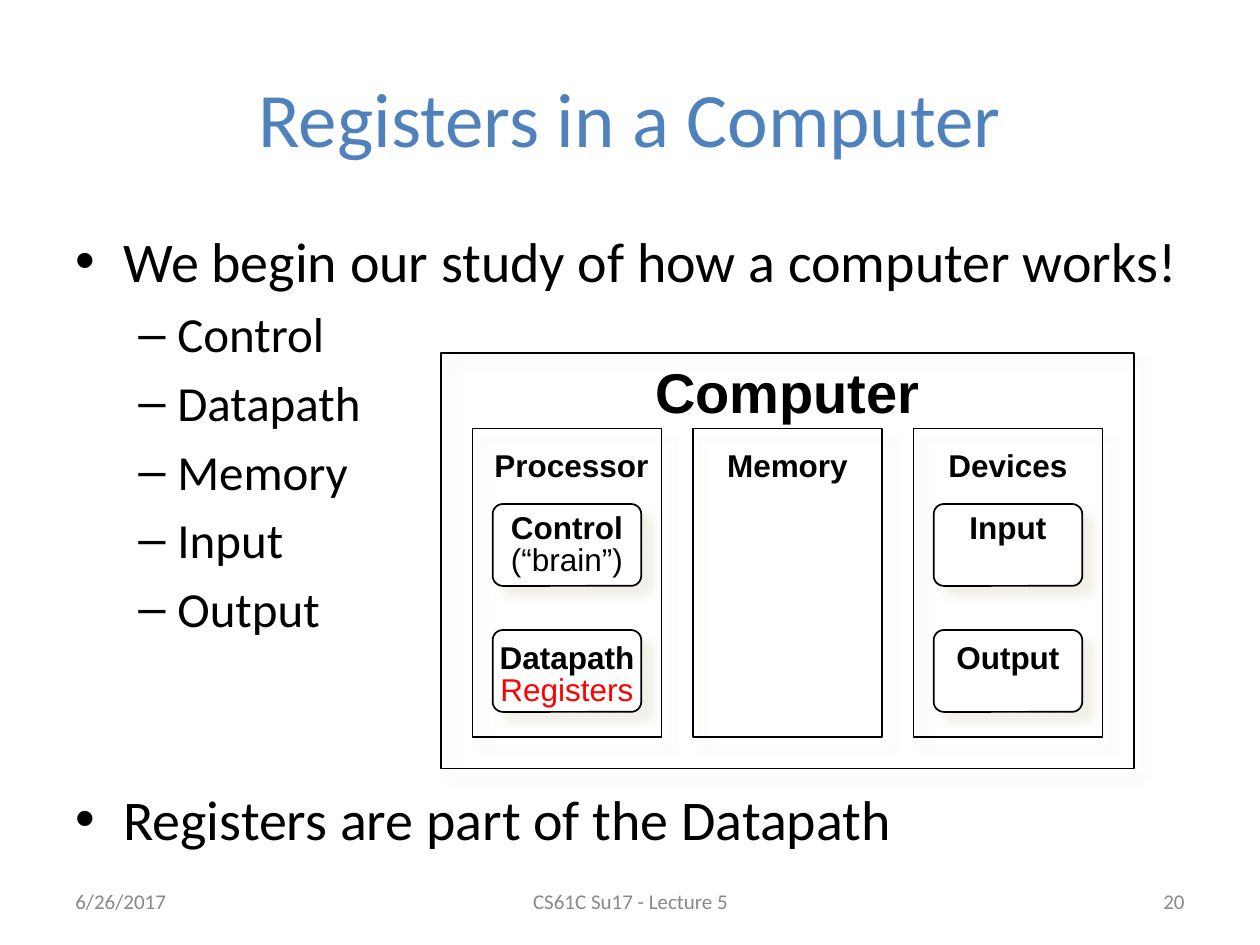
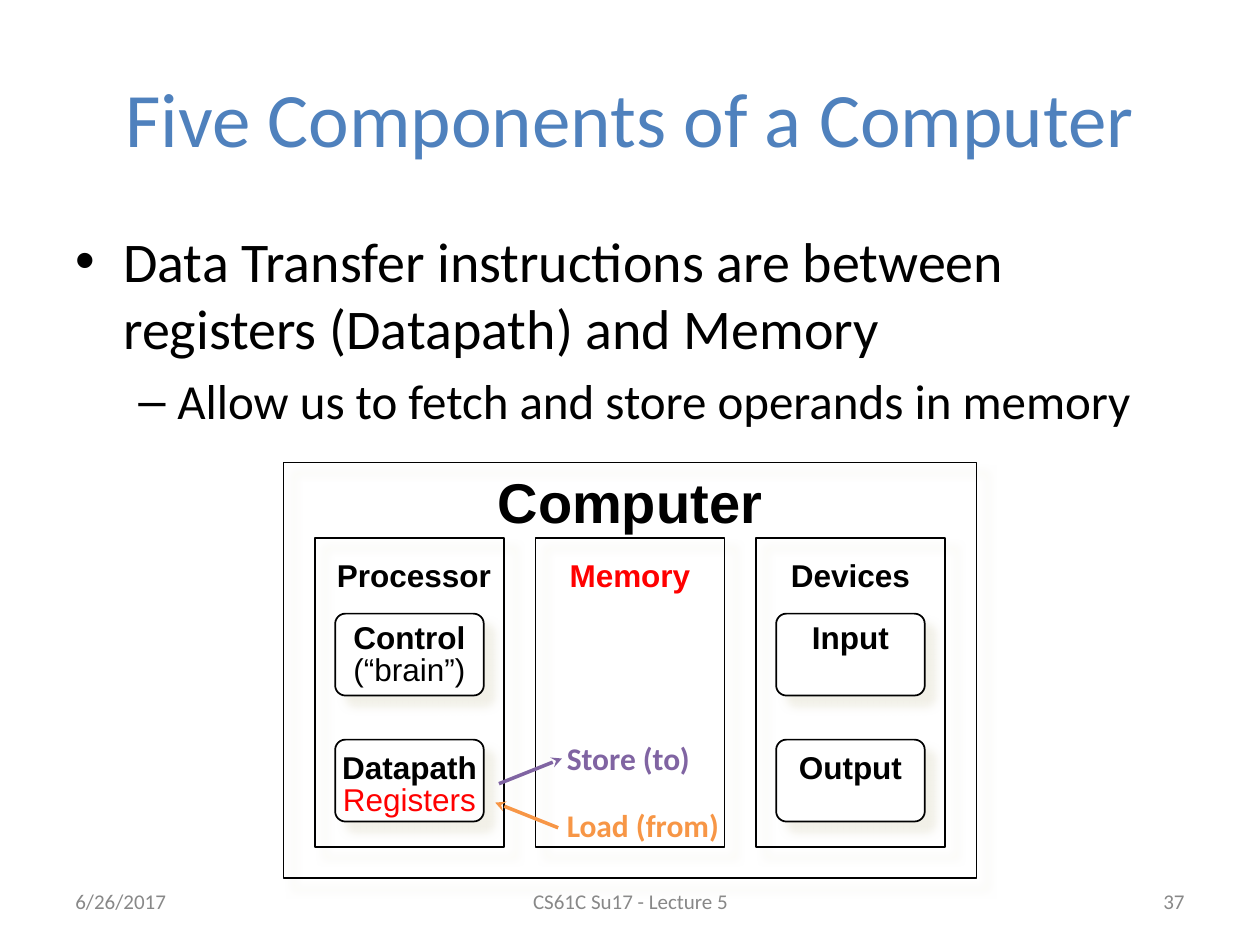
import pptx
import pptx.util
import pptx.dml.color
import pptx.enum.shapes
import pptx.enum.text
import pptx.oxml.ns
import lxml.etree

Pt = pptx.util.Pt
KIND = pptx.enum.shapes.MSO_SHAPE
SIDE = pptx.enum.text.PP_ALIGN
MID = pptx.enum.text.MSO_ANCHOR.MIDDLE

# Shared colours
BLUE, BLACK, GREY, RED = "4F81BD", "000000", "888888", "FF0000"
WHITE, SAND, PLUM, AMBER = "FFFFFF", "EEECE1", "8064A2", "F79646"

# Body levels: bullet, size, left margin, hanging indent, space before
LEVELS = [("•", 32, 0.38, 0.38, 6.4), ("–", 28, 0.81, 0.31, 5.6)]


def tint(code):
    return pptx.dml.color.RGBColor.from_string(code)


def add(node, tag, **attrs):
    """Append a drawing element to an XML node."""
    return lxml.etree.SubElement(node, pptx.oxml.ns.qn(tag), attrs)


class Deck:
    """Style and current slide; lengths are cells of a 40 by 30 grid."""

    def __init__(self):
        self.prs = pptx.Presentation()
        self.prs.slide_width = pptx.util.Inches(10)
        self.prs.slide_height = pptx.util.Inches(7.5)
        self.cell = self.prs.slide_width / 40
        self.slide = None

    def cells(self, *nums):
        return [round(num * self.cell) for num in nums]

    def page(self, title, number):
        """Start a slide with its title and footer."""
        self.slide = self.prs.slides.add_slide(self.prs.slide_layouts[6])
        self.text(2, 1.2, 36, 5, [title], 44, BLUE, align=SIDE.CENTER, anchor=MID)
        feet = [(2, 9.32, "6/26/2017", SIDE.LEFT),
                (13.68, 12.68, "CS61C Su17 - Lecture 5", SIDE.CENTER),
                (28.68, 9.32, number, SIDE.RIGHT)]
        for col, wide, words, side in feet:
            self.text(col, 27.8, wide, 1.6, [words], 12, GREY, align=side, anchor=MID)

    def text(self, col, row, wide, high, lines, size, hue=BLACK, font="Calibri",
             bold=False, align=SIDE.LEFT, anchor=None):
        box = self.slide.shapes.add_textbox(*self.cells(col, row, wide, high))
        frame = box.text_frame
        frame.word_wrap = True
        if anchor is not None:
            frame.vertical_anchor = anchor
        frame.text = "\n".join(lines)
        for para in frame.paragraphs:
            para.alignment = align
            for run in para.runs:
                run.font.size = Pt(size)
                run.font.name = font
                run.font.bold = bold
                run.font.color.rgb = tint(hue)
        return frame

    def body(self, row, high, items):
        """Bulleted text; items are (level, words)."""
        frame = self.text(2, row, 36, high, [words for _, words in items], 32)
        for spot, (para, (level, _)) in enumerate(zip(frame.paragraphs, items)):
            mark, size, left, hang, gap = LEVELS[level]
            props = para._p.get_or_add_pPr()
            props.set("marL", str(pptx.util.Inches(left)))
            props.set("indent", str(-pptx.util.Inches(hang)))
            add(add(props, "a:buClr"), "a:srgbClr", val=BLACK)
            add(props, "a:buFont", typeface="Arial")
            add(props, "a:buChar", char=mark)
            para.level = level
            para.runs[0].font.size = Pt(size)
            if spot:
                para.space_before = Pt(gap)

    def label(self, col, row, wide, words, size=18, hue=BLACK, note=None, shade=BLACK):
        """Bold diagram label with an optional plain second line."""
        lines = [words, note] if note else [words]
        frame = self.text(col, row, wide, 1.2 * len(lines), lines, size, hue,
                          "Arial", True, SIDE.CENTER)
        frame.margin_left = frame.margin_right = pptx.util.Inches(0.07)
        frame.margin_top = frame.margin_bottom = pptx.util.Inches(0.03)
        for para in frame.paragraphs:
            para.line_spacing = 0.85
        if note:
            font = frame.paragraphs[1].runs[0].font
            font.bold = False
            font.color.rgb = tint(shade)

    def box(self, col, row, wide, high, fill=None):
        """Outlined box with a soft shadow; filled ones are rounded."""
        kind = KIND.ROUNDED_RECTANGLE if fill else KIND.RECTANGLE
        shape = self.slide.shapes.add_shape(kind, *self.cells(col, row, wide, high))
        if fill:
            shape.adjustments[0] = 0.125
            shape.fill.solid()
            shape.fill.fore_color.rgb = tint(fill)
        else:
            shape.fill.background()
        shape.line.color.rgb = tint(BLACK)
        shape.line.width = Pt(1)
        shape.shadow.inherit = False
        glow = add(shape._element.spPr.find(pptx.oxml.ns.qn("a:effectLst")),
                   "a:outerShdw", blurRad=str(Pt(5)), dist=str(Pt(8.5)),
                   dir=str(45 * 60000), algn="ctr", rotWithShape="0")
        add(add(glow, "a:srgbClr", val=SAND), "a:alpha", val="75000")

    def arrow(self, start, end, hue):
        line = self.slide.shapes.add_connector(
            pptx.enum.shapes.MSO_CONNECTOR.STRAIGHT, *self.cells(*start, *end))
        line.line.color.rgb = tint(hue)
        line.line.width = Pt(2)
        add(line.line._get_or_add_ln(), "a:tailEnd", type="stealth")
        add(line._element.spPr, "a:effectLst")

    def machine(self, col, row, memory=BLACK):
        """The computer diagram, placed by its top left corner."""
        self.box(col, row, 22, 13.2)
        self.label(col, row + 0.36, 22, "Computer", 32)
        rooms = [
            ("Processor", BLACK, 0.14, [("Control", "(“brain”)", BLACK),
                                        ("Datapath", "Registers", RED)]),
            ("Memory", memory, 0, []),
            ("Devices", BLACK, 0, [("Input", None, BLACK), ("Output", None, BLACK)]),
        ]
        for spot, (name, hue, shift, parts) in enumerate(rooms):
            left = col + 1 + 7 * spot
            self.box(left, row + 2.4, 6, 9.8)
            self.label(left + shift, row + 3.04, 6, name, hue=hue)
            for step, (part, note, shade) in enumerate(parts):
                self.box(left + 0.64, row + 4.8 + 4 * step, 4.72, 2.6, WHITE)
                self.label(left, row + 5 + 4.12 * step, 6, part, note=note, shade=shade)


def main():
    deck = Deck()

    # Registers
    deck.page("Registers in a Computer", "20")
    units = ["Control", "Datapath", "Memory", "Input", "Output"]
    deck.body(7, 14, [(0, "We begin our study of how a computer works!")]
              + [(1, unit) for unit in units])
    deck.body(24.72, 2.6, [(0, "Registers are part of the Datapath")])
    deck.machine(14, 11.2)

    # Five components
    deck.page("Five Components of a Computer", "37")
    deck.body(7, 7.56, [
        (0, "Data Transfer instructions are between registers (Datapath) and Memory"),
        (1, "Allow us to fetch and store operands in memory")])
    deck.machine(9, 14.68, RED)

    # Transfers between registers and memory
    deck.arrow((15.84, 24.88), (17.84, 24.08), PLUM)
    deck.arrow((17.72, 26.28), (15.72, 25.48), AMBER)
    deck.text(17.6, 23.28, 4.8, 1.6, ["Store (to)"], 18, PLUM, bold=True)
    deck.text(17.6, 25.4, 5.76, 1.6, ["Load (from)"], 18, AMBER, bold=True)

    deck.prs.save("out.pptx")


if __name__ == "__main__":
    main()
